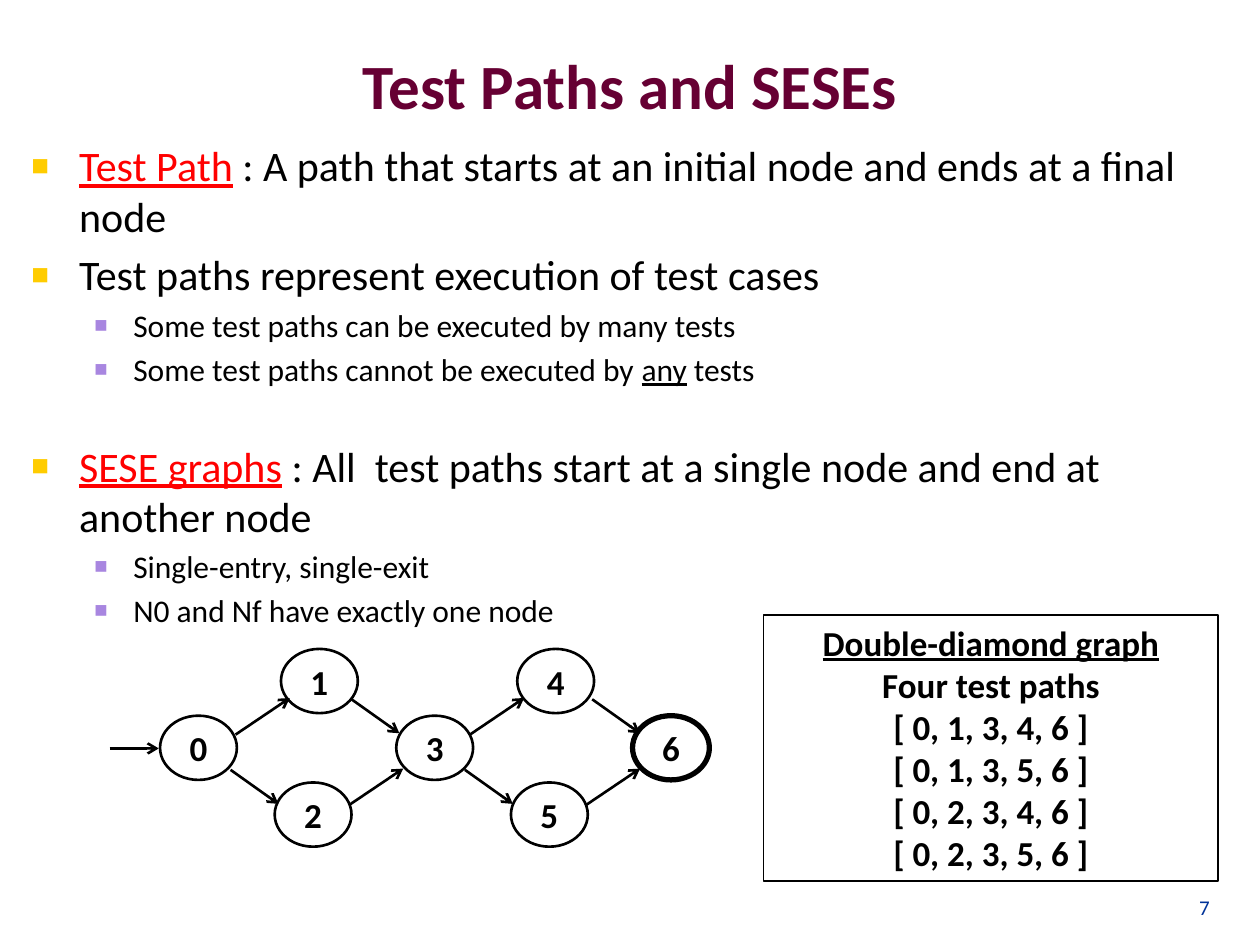
"""Build the slide on test paths and single-entry, single-exit graphs."""
from lxml.etree import SubElement
from pptx import Presentation
from pptx.dml.color import RGBColor
from pptx.enum.shapes import MSO_CONNECTOR, MSO_SHAPE
from pptx.enum.text import MSO_ANCHOR, PP_ALIGN
from pptx.oxml.ns import qn
from pptx.util import Inches, Pt


def tint(color, code):
    color.rgb = RGBColor.from_string(code)


def write(frame, text, size, code="000000", bold=False, align=PP_ALIGN.LEFT, mark=None):
    frame.word_wrap = True
    para = frame.paragraphs[0]
    if para.runs:
        para = frame.add_paragraph()
    para.alignment = align
    if mark:
        props = para._p.get_or_add_pPr()
        hue = SubElement(props, qn("a:buClr"))
        SubElement(hue, qn("a:srgbClr"), val=mark)
        SubElement(props, qn("a:buSzPct"), val="70000")
        SubElement(props, qn("a:buFont"), typeface="Arial")
        SubElement(props, qn("a:buChar"), char="■")
    font = para.font
    font.name, font.size, font.bold = "Calibri", Pt(size), bold
    tint(font.color, code)
    for part in text if isinstance(text, list) else [text]:
        para.add_run().text = part
    return para


deck = Presentation()
deck.slide_width, deck.slide_height = Inches(10), Inches(7.5)
col, row = deck.slide_width / 100, deck.slide_height / 75
slide = deck.slides.add_slide(deck.slide_layouts[6])
shapes = slide.shapes

title = shapes.add_textbox(int(5 * col), int(0.4 * row), int(90 * col), int(12.5 * row))
title.text_frame.vertical_anchor = MSO_ANCHOR.MIDDLE
write(title.text_frame, "Test Paths and SESEs", 36, "660033", True, PP_ALIGN.CENTER)

body = shapes.add_textbox(int(1.5 * col), int(10.6 * row), int(97 * col), int(57.9 * row))
styles = [(24, "FFCC00", 3.8, 3.8), (18, "A886E0", 8.1, 3.1)]
points = [
    (0, 0, ["Test Path", " : A path that starts at an initial node and ends at a final node"]),
    (0, 4.8, "Test paths represent execution of test cases"),
    (1, 3.6, "Some test paths can be executed by many tests"),
    (1, 3.6, ["Some test paths cannot be executed by ", "any", " tests"]),
    (0, 30, ["SESE graphs", " : All  test paths start at a single node and end at another node"]),
    (1, 3.6, "Single-entry, single-exit"),
    (1, 3.6, "N0 and Nf have exactly one node"),
]
for level, space, text in points:
    size, mark, left, hang = styles[level]
    para = write(body.text_frame, text, size, mark=mark)
    para.level, para.space_before = level, Pt(space)
    props = para._p.get_or_add_pPr()
    props.set("marL", str(int(left * col)))
    props.set("indent", str(int(-hang * col)))
    if isinstance(text, list):
        term = para.runs[level]
        term.font.underline = True
        if level == 0:
            tint(term.font.color, "FF0000")

page = shapes.add_textbox(int(90.1 * col), int(68.3 * row), int(6.9 * col), int(5.2 * row))
page.text_frame.vertical_anchor = MSO_ANCHOR.BOTTOM
write(page.text_frame, "7", 12, "003399", align=PP_ALIGN.RIGHT)

step = 18.75
spots = [(12.7, 56.8), (22.3, 51.5), (21.8, 62.1)]
for node in range(7):
    turn, slot = divmod(node, 3)
    left, top = spots[slot]
    oval = shapes.add_shape(MSO_SHAPE.OVAL, int((left + turn * step) * col), int(top * row),
                            int(6.1 * col), int(5.1 * row))
    oval.shadow.inherit = False
    oval.fill.background()
    tint(oval.line.color, "000000")
    oval.line.width = Pt(3 if node == 6 else 1.5)
    frame = oval.text_frame
    frame.margin_left = frame.margin_right = frame.margin_top = frame.margin_bottom = 0
    frame.vertical_anchor = MSO_ANCHOR.MIDDLE
    write(frame, str(node), 20, bold=True, align=PP_ALIGN.CENTER)

edges = [
    (18.7, 58.3, 23, 55.4, 18.6),
    (18.3, 61.1, 22.1, 63.8, 18.6),
    (27.9, 55.5, 31.7, 58.2, 19.1),
    (27.7, 63.9, 32, 61, 18.8),
]
lines = [(8.7, 59.4, 12.6, 59.4)]
for x, y, tox, toy, shift in edges:
    lines += [(x, y, tox, toy), (x + shift, y, tox + shift, toy)]
for x, y, tox, toy in lines:
    edge = shapes.add_connector(MSO_CONNECTOR.STRAIGHT, int(x * col), int(y * row),
                                int(tox * col), int(toy * row))
    tint(edge.line.color, "000000")
    edge.line.width = Pt(1.5)
    SubElement(edge.line._get_or_add_ln(), qn("a:tailEnd"), type="arrow")
    SubElement(edge._element.spPr, qn("a:effectLst"))

panel = shapes.add_shape(MSO_SHAPE.RECTANGLE, int(60.6 * col), int(48.8 * row),
                         int(36.1 * col), int(21.1 * row))
panel.shadow.inherit = False
panel.fill.background()
tint(panel.line.color, "000000")
panel.line.width = Pt(1)
panel.text_frame.vertical_anchor = MSO_ANCHOR.TOP
head = write(panel.text_frame, "Double-diamond graph", 20, bold=True, align=PP_ALIGN.CENTER)
head.font.underline = True
paths = [f"[ 0, {a}, 3, {b}, 6 ]" for a in (1, 2) for b in (4, 5)]
for text in ["Four test paths"] + paths:
    write(panel.text_frame, text, 20, bold=True, align=PP_ALIGN.CENTER)

deck.save("out.pptx")
